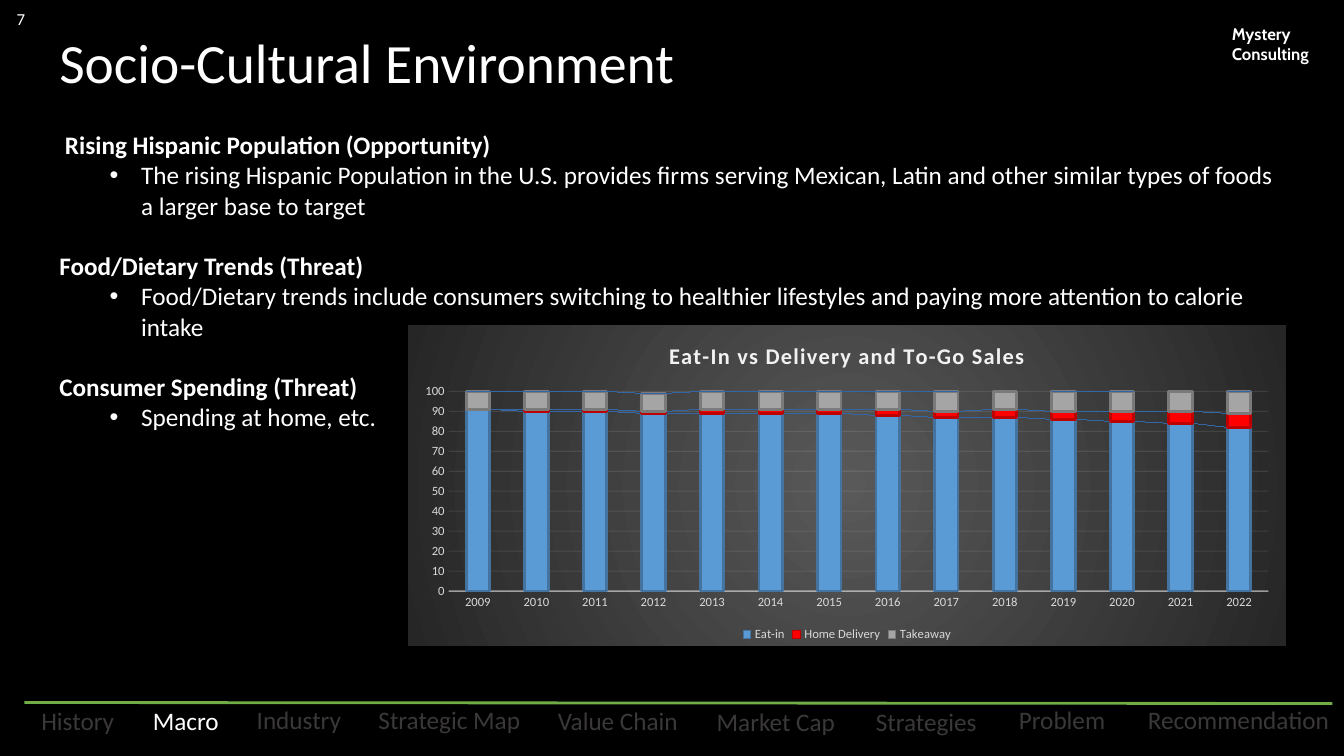
from lxml import etree
from pptx import Presentation
from pptx.chart.data import CategoryChartData
from pptx.dml.color import RGBColor
from pptx.enum import chart as ch, shapes, text
from pptx.oxml import parse_xml
from pptx.oxml.ns import nsdecls, qn
from pptx.util import Pt

INK = {"black": "000000", "white": "FFFFFF", "dim": "3B3838", "green": "70AD47",
       "soft": "F2F2F2", "grey": "D9D9D9", "link": "4472C4"}
NS = nsdecls("c", "a")


def style(font, size, ink="white", bold=False, name="Calibri"):
    font.size, font.bold, font.name = Pt(size), bold, name
    font.color.rgb = RGBColor.from_string(INK[ink])


def label(shape, words, size, ink="white", bold=False, name="Calibri", align="LEFT", mid=True):
    frame = shape.text_frame
    frame.word_wrap = True
    frame.vertical_anchor = text.MSO_ANCHOR.MIDDLE if mid else text.MSO_ANCHOR.TOP
    para = frame.paragraphs[0]
    para.text = words
    para.alignment = getattr(text.PP_ALIGN, align)
    style(para.font, size, ink, bold, name)
    return frame


deck = Presentation()
deck.slide_width, deck.slide_height = Pt(960), Pt(540)
slide = deck.slides.add_slide(deck.slide_layouts[6])
back = slide.background.fill
back.solid()
back.fore_color.rgb = RGBColor.from_string(INK["black"])
add_box = slide.shapes.add_textbox

# Footer rule and section tabs
rule = slide.shapes.add_connector(shapes.MSO_CONNECTOR.STRAIGHT,
                                  Pt(17.5), Pt(501.8), Pt(951.8), Pt(502.5))
rule.line.color.rgb = RGBColor.from_string(INK["green"])
rule.line.width = Pt(2)
etree.SubElement(rule._element.spPr, qn("a:effectLst"))

tabs = [("History", 70.6, 502.8), ("Macro", 66.2, 502.8), ("Industry", 77.8, 502.4),
        ("Strategic Map", 119.5, 502.4), ("Value Chain", 103.7, 503.2),
        ("Market Cap", 104.4, 504), ("Strategies", 92.9, 504),
        ("Problem", 83.5, 502.5), ("Recommendation", 150.8, 502.4)]
left = 20.2
for name, wide, top in tabs:
    tab = slide.shapes.add_shape(shapes.MSO_SHAPE.ROUNDED_RECTANGLE,
                                 Pt(left), Pt(top), Pt(wide), Pt(23))
    tab.shadow.inherit = False
    tab.fill.background()
    tab.line.fill.background()
    frame = label(tab, name, 18, "white" if name == "Macro" else "dim", align="CENTER")
    frame.word_wrap = False
    left += wide + 8.8

# Firm name, title and page number
label(add_box(Pt(872.9), Pt(13.3), Pt(79.2), Pt(36)), "Mystery Consulting", 12,
      bold=True, name="Cabin", mid=False)
title = label(add_box(Pt(35.3), Pt(27.2), Pt(809.3), Pt(39.6)),
              "Socio-Cultural Environment", 39.6)
title.paragraphs[0].line_spacing = 0.9
label(add_box(Pt(0), Pt(-0.7), Pt(30), Pt(28.8)), "7", 12, align="CENTER")

# Trends
trends = [
    (" Rising Hispanic Population (Opportunity)",
     "The rising Hispanic Population in the U.S. provides firms serving Mexican, "
     "Latin and other similar types of foods a larger base to target"),
    ("Food/Dietary Trends (Threat)",
     "Food/Dietary trends include consumers switching to healthier lifestyles "
     "and paying more attention to calorie intake"),
    ("Consumer Spending (Threat)", "Spending at home, etc.")]
body = label(add_box(Pt(35.3), Pt(89), Pt(883.4), Pt(208)), trends[0][0], 18,
             bold=True, mid=False)
for head, point in trends:
    if head != trends[0][0]:
        para = body.add_paragraph()
        para.text = head
        para.space_before = Pt(21.6)
        style(para.font, 18, bold=True)
    para = body.add_paragraph()
    para.text = point
    para.level = 1
    props = para._p.get_or_add_pPr()
    props.set("marL", str(Pt(58.5)))
    props.set("indent", str(Pt(-22.5)))
    etree.SubElement(props, qn("a:buFont")).set("typeface", "Arial")
    etree.SubElement(props, qn("a:buChar")).set("char", "•")
    style(para.font, 18)

# Sales chart
sales = [
    ("Eat-in", "5B9BD5", "43739E", (91, 90, 90, 89, 89, 89, 89, 88, 87, 87, 86, 85, 84, 82)),
    ("Home Delivery", "FF0000", "BD0000", (0, 1, 1, 1, 2, 2, 2, 3, 3, 4, 4, 5, 6, 7)),
    ("Takeaway", "A5A5A5", "7A7A7A", (9, 9, 9, 9, 9, 9, 9, 9, 10, 10, 10, 10, 11, 11))]
data = CategoryChartData(number_format="#,##0")
data.categories = [str(year) for year in range(2009, 2023)]
for name, _, _, vals in sales:
    data.add_series(name, vals)
chart = slide.shapes.add_chart(ch.XL_CHART_TYPE.COLUMN_STACKED, Pt(291.6), Pt(232.4),
                               Pt(627), Pt(229), data).chart
style(chart.font, 10)
chart.has_title = True
heading = chart.chart_title.text_frame.paragraphs[0]
heading.text = "Eat-In vs Delivery and To-Go Sales"
style(heading.runs[0].font, 16, "soft", True)
heading.runs[0].font._element.set("spc", "100")
chart.has_legend = True
chart.legend.position = ch.XL_LEGEND_POSITION.BOTTOM
chart.legend.include_in_layout = False
style(chart.legend.font, 9, "grey")

# Columns
plot = chart.plots[0]
plot.gap_width, plot.overlap, plot.vary_by_categories = 150, 100, False
for series, (_, fill, edge, _) in zip(plot.series, sales):
    series.format.fill.solid()
    series.format.fill.fore_color.rgb = RGBColor.from_string(fill)
    series.format.line.color.rgb = RGBColor.from_string(edge)
    series.format.line.width = Pt(2)

# Axes
years, scale = chart.category_axis, chart.value_axis
for axis in (years, scale):
    axis.major_tick_mark = axis.minor_tick_mark = ch.XL_TICK_MARK.NONE
    style(axis.tick_labels.font, 9, "grey")
scale.minimum_scale, scale.maximum_scale, scale.major_unit = 0, 100, 10
scale.tick_labels.number_format = "#,##0"
scale.tick_labels.number_format_is_linked = False
scale.format.line.fill.background()
for line, wide, alpha in ((years.format.line, 1, 54000),
                          (scale.major_gridlines.format.line, 0.75, 10000)):
    line.color.rgb = RGBColor.from_string(INK["soft"])
    line.width = Pt(wide)
    tint = line._get_or_add_ln().find(".//" + qn("a:srgbClr"))
    etree.SubElement(tint, qn("a:alpha")).set("val", str(alpha))

# Series lines, plot position and radial background
space = chart._chartSpace
space.find(".//" + qn("c:overlap")).addnext(parse_xml(
    f'<c:serLines {NS}><c:spPr><a:ln w="9525"><a:solidFill>'
    f'<a:srgbClr val="{INK["link"]}"/></a:solidFill></a:ln></c:spPr></c:serLines>'))
area = space.find(".//" + qn("c:plotArea"))
for old in area.findall(qn("c:layout")):
    area.remove(old)
spots = "".join(f'<c:{key} val="{val}"/>' for key, val in (
    ("layoutTarget", "inner"), ("xMode", "edge"), ("yMode", "edge"),
    ("x", 0.046), ("y", 0.206), ("w", 0.934), ("h", 0.623)))
area.insert(0, parse_xml(
    f'<c:layout {NS}><c:manualLayout>{spots}</c:manualLayout></c:layout>'))
space.find(qn("c:chart")).addnext(parse_xml(
    f'<c:spPr {NS}><a:gradFill><a:gsLst>'
    '<a:gs pos="0"><a:srgbClr val="595959"/></a:gs>'
    '<a:gs pos="100000"><a:srgbClr val="262626"/></a:gs></a:gsLst>'
    '<a:path path="circle"><a:fillToRect l="50000" t="50000" r="50000" b="50000"/></a:path>'
    '</a:gradFill><a:ln><a:noFill/></a:ln></c:spPr>'))

deck.save("out.pptx")
